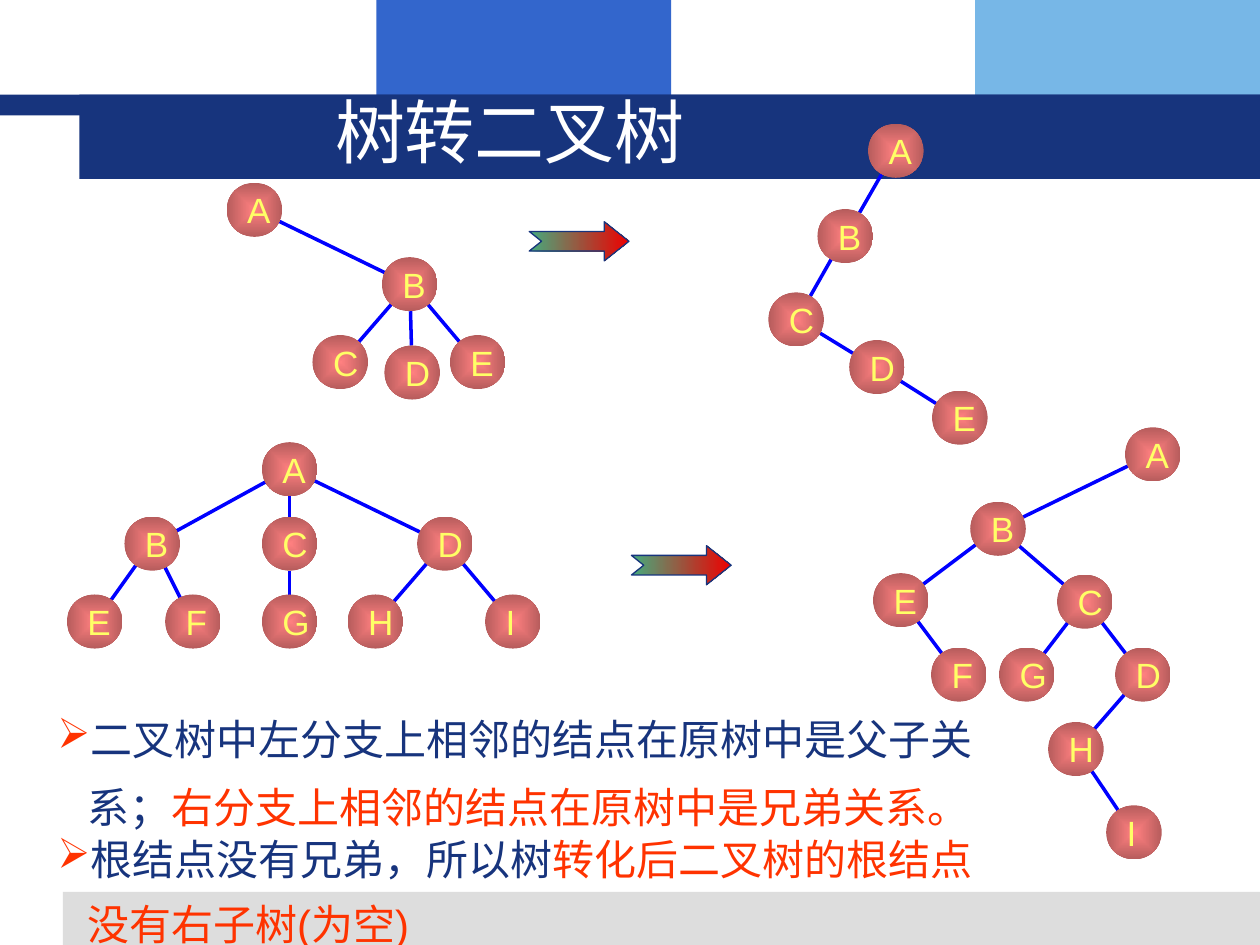
import math
from lxml import etree
from pptx import Presentation
from pptx import util as u
from pptx.dml.color import RGBColor
from pptx.enum import shapes, text
from pptx.oxml import ns

COLORS = {
    "navy": "17347D", "blue": "3366CC", "sky": "77B7E7", "gray": "DDDDDD",
    "edge": "0000FF", "node_center": "FF8080", "node_rim": "B65C5C",
    "letter": "FFFF66", "red": "FF3300", "white": "FFFFFF",
    "arrow_start": "45AB7D", "arrow_end": "EE0000",
}
FONT = "Arial"
TITLE = "树转二叉树"
TITLE_BOX = (6.5, 1.65, 7.6, 1.96)
BANDS = [
    ("blue", 7.59, 0, 5.94, 2.34),
    ("sky", 19.66, 0, 5.74, 2.34),
    ("gray", 1.27, 17.98, 24.13, 1.07),
    ("navy", 0, 1.91, 25.4, 0.42),
    ("navy", 1.6, 1.91, 23.8, 1.7),
]
NODE_WIDTH, NODE_HEIGHT = 1.12, 1.09
TREES = [
    ({"A": (5.84, 9.46), "B": (3.07, 10.96), "C": (5.84, 10.96),
      "D": (8.97, 10.96), "E": (1.91, 12.53), "F": (3.89, 12.53),
      "G": (5.84, 12.53), "H": (7.57, 12.53), "I": (10.34, 12.53)},
     "AB AC AD BE BF CG DH DI"),
    ({"A": (23.24, 9.16), "B": (20.12, 10.66), "C": (21.87, 12.13),
      "D": (23.04, 13.6), "E": (18.16, 12.1), "F": (19.33, 13.6),
      "G": (20.7, 13.6), "H": (21.69, 15.1), "I": (22.86, 16.78)},
     "AB BE BC EF CG CD DH HI"),
    ({"A": (5.13, 4.23), "B": (8.26, 5.73), "C": (6.86, 7.3),
      "D": (8.31, 7.51), "E": (9.63, 7.3)},
     "AB BC BD BE"),
    ({"A": (18.06, 3.04), "B": (17.04, 4.76), "C": (16.05, 6.44),
      "D": (17.68, 7.4), "E": (19.35, 8.42)},
     "AB BC CD DE"),
]
ARROWS = [(12.73, 11.0), (10.67, 4.47)]
NOTES = [
    ((0.91, 13.89, 19.61, 3.0), 1.35,
     [("二叉树中左分支上相邻的结点在原树中是父子关系；", "navy"),
      ("右分支上相邻的结点在原树中是兄弟关系。", "red")]),
    ((0.91, 16.36, 19.41, 2.9), 1.3,
     [("根结点没有兄弟，所以树", "navy"),
      ("转化后二叉树的根结点没有右子树(为空)", "red")]),
]


def rgb(name):
    return RGBColor.from_string(COLORS[name])


def lengths(*values):
    return [u.Cm(value) for value in values]


def set_font(font, size, color=None):
    font.name = FONT
    font.size = u.Pt(size)
    if color:
        font.color.rgb = rgb(color)


def set_gradient(shape, start, end, radial=False):
    shape.fill.gradient()
    shape.fill.gradient_angle = 0
    for stop, color in zip(shape.fill.gradient_stops, (start, end)):
        stop.color.rgb = rgb(color)
    if radial:
        linear = shape._element.spPr.find(".//" + ns.qn("a:lin"))
        radial_path = etree.Element(ns.qn("a:path"), path="shape")
        etree.SubElement(radial_path, ns.qn("a:fillToRect"),
                         l="50000", t="50000", r="50000", b="50000")
        linear.getparent().replace(linear, radial_path)


def add_band(slide, color, *box):
    band = slide.shapes.add_shape(shapes.MSO_SHAPE.RECTANGLE, *lengths(*box))
    band.shadow.inherit = False
    band.fill.solid()
    band.fill.fore_color.rgb = rgb(color)
    band.line.fill.background()


def add_title(slide):
    title = slide.shapes.title
    title.left, title.top, title.width, title.height = lengths(*TITLE_BOX)
    slide.shapes._spTree.append(title._element)
    frame = title.text_frame
    frame.text = TITLE
    frame.word_wrap = False
    frame.vertical_anchor = text.MSO_ANCHOR.MIDDLE
    paragraph = frame.paragraphs[0]
    paragraph.alignment = text.PP_ALIGN.LEFT
    set_font(paragraph.font, 40, "white")


def add_edge(group, parent, child):
    angle = math.atan2(child[1] - parent[1], child[0] - parent[0])
    dx = NODE_WIDTH / 2 * math.cos(angle)
    dy = NODE_HEIGHT / 2 * math.sin(angle)
    edge = group.shapes.add_connector(
        shapes.MSO_CONNECTOR.STRAIGHT,
        *lengths(parent[0] + dx, parent[1] + dy, child[0] - dx, child[1] - dy))
    edge.line.color.rgb = rgb("edge")
    edge.line.width = u.Pt(2)
    etree.SubElement(edge._element.spPr, ns.qn("a:effectLst"))


def add_node(group, letter, center):
    node = group.shapes.add_shape(
        shapes.MSO_SHAPE.OVAL,
        *lengths(center[0] - NODE_WIDTH / 2, center[1] - NODE_HEIGHT / 2,
                 NODE_WIDTH, NODE_HEIGHT))
    node.shadow.inherit = False
    set_gradient(node, "node_center", "node_rim", radial=True)
    node.line.fill.background()
    frame = node.text_frame
    frame.text = letter
    frame.word_wrap = False
    frame.vertical_anchor = text.MSO_ANCHOR.MIDDLE
    paragraph = frame.paragraphs[0]
    paragraph.alignment = text.PP_ALIGN.LEFT
    set_font(paragraph.font, 20, "letter")


def add_tree(slide, nodes, edges):
    group = slide.shapes.add_group_shape()
    for parent, child in edges.split():
        add_edge(group, nodes[parent], nodes[child])
    for letter, center in nodes.items():
        add_node(group, letter, center)


def add_arrow(slide, left, top):
    arrow = slide.shapes.add_shape(
        shapes.MSO_SHAPE.NOTCHED_RIGHT_ARROW, *lengths(left, top, 2.01, 0.79))
    arrow.shadow.inherit = False
    arrow.adjustments[1] = 0.63
    set_gradient(arrow, "arrow_start", "arrow_end")
    arrow.line.color.rgb = rgb("navy")
    arrow.line.width = u.Pt(0.75)


def add_note(slide, box, spacing, parts):
    frame = slide.shapes.add_textbox(*lengths(*box)).text_frame
    frame.word_wrap = True
    frame.vertical_anchor = text.MSO_ANCHOR.MIDDLE
    paragraph = frame.paragraphs[0]
    paragraph.line_spacing = spacing
    properties = paragraph._p.get_or_add_pPr()
    properties.set("marL", str(u.Cm(0.6)))
    properties.set("indent", str(-u.Cm(0.6)))
    bullet_color = etree.SubElement(properties, ns.qn("a:buClr"))
    etree.SubElement(bullet_color, ns.qn("a:srgbClr"), val=COLORS["red"])
    etree.SubElement(properties, ns.qn("a:buChar"), char="➢")
    set_font(paragraph.font, 24)
    for words, color in parts:
        run = paragraph.add_run()
        run.text = words
        run.font.color.rgb = rgb(color)


def main():
    presentation = Presentation()
    presentation.slide_width, presentation.slide_height = lengths(25.4, 19.05)
    slide = presentation.slides.add_slide(presentation.slide_layouts[5])
    for band in BANDS:
        add_band(slide, *band)
    add_title(slide)
    for nodes, edges in TREES:
        add_tree(slide, nodes, edges)
    for note in NOTES:
        add_note(slide, *note)
    for position in ARROWS:
        add_arrow(slide, *position)
    presentation.save("out.pptx")


if __name__ == "__main__":
    main()
